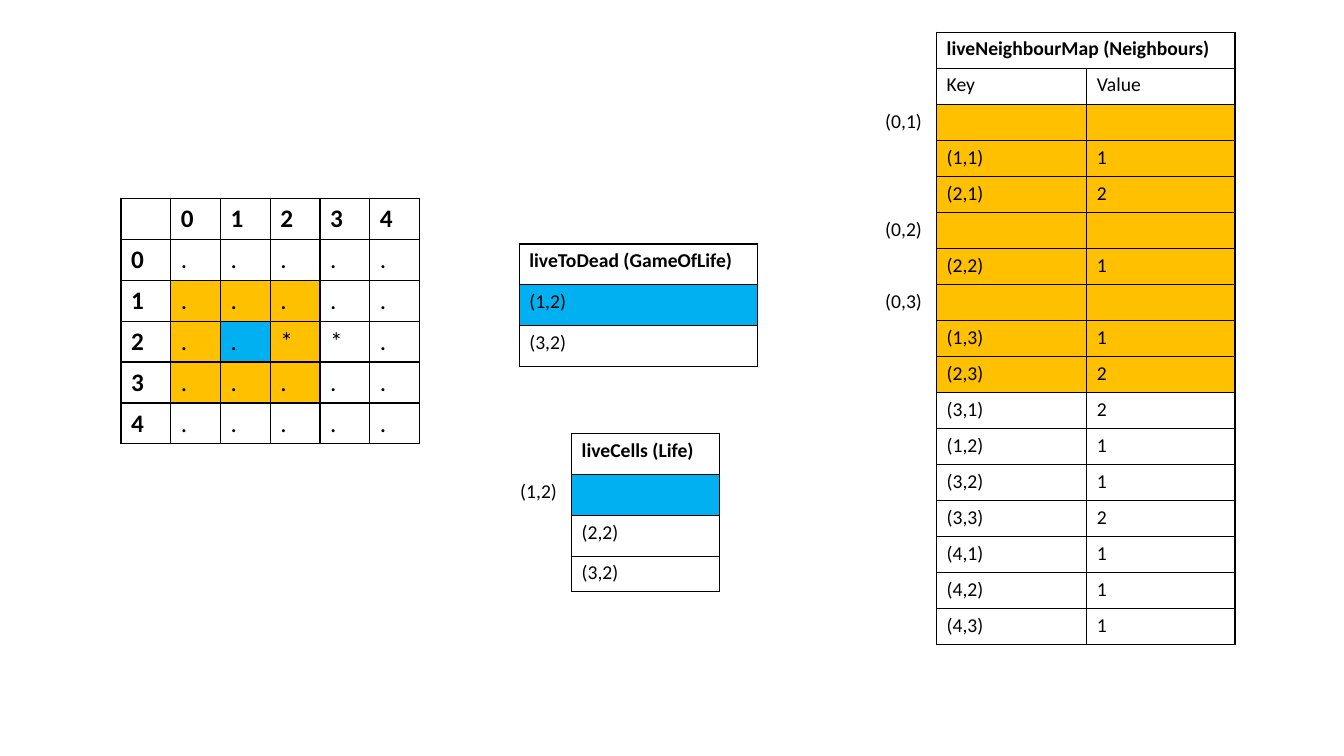
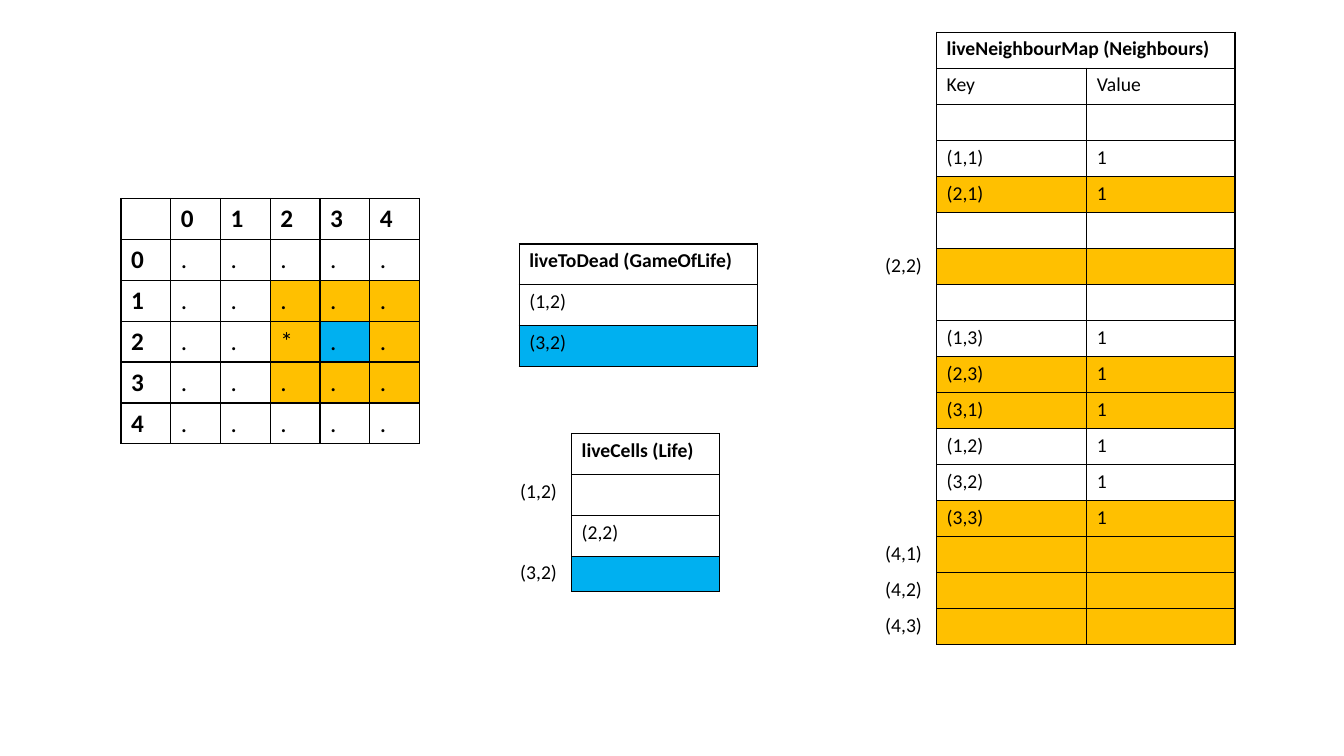
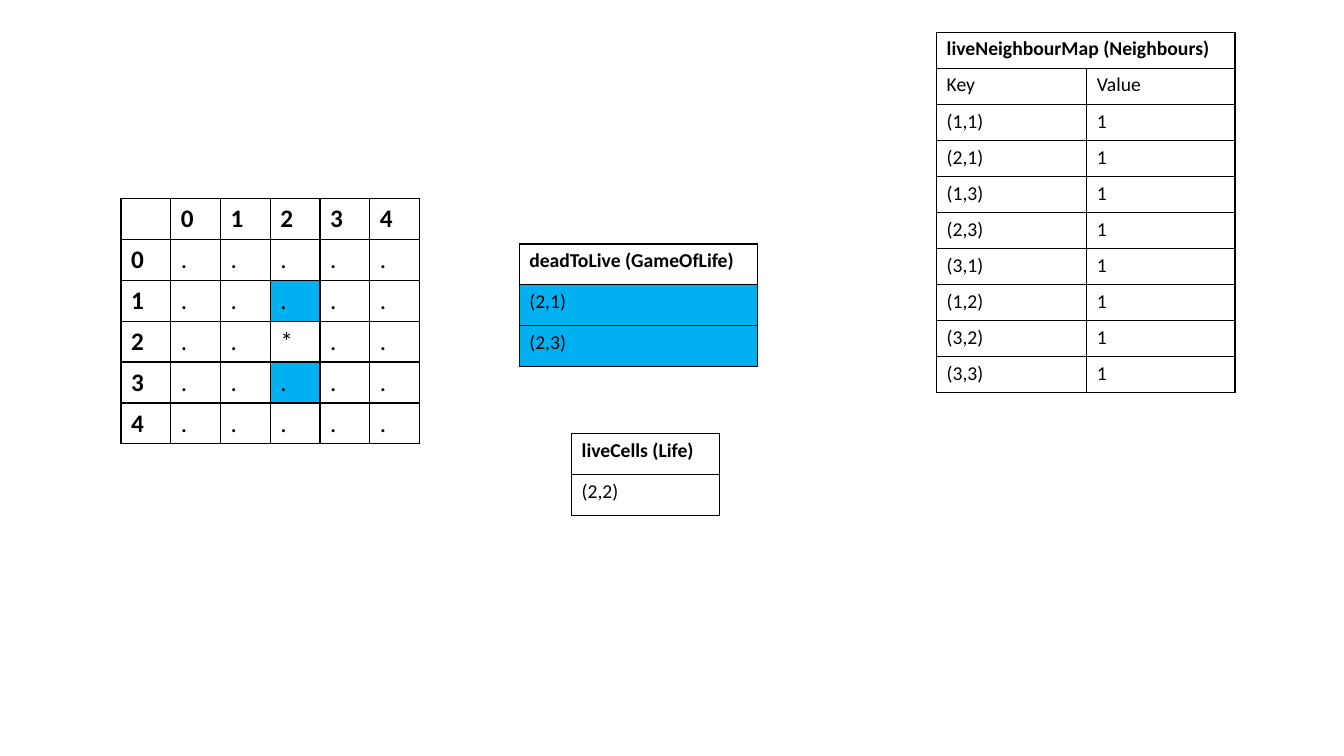
"""Builds three slides that step through one generation of the Game of Life."""
from dataclasses import dataclass

from lxml import etree
from pptx import Presentation
from pptx.dml.color import RGBColor
from pptx.oxml import ns
from pptx.util import Inches, Pt


@dataclass(frozen=True)
class Theme:
    font: str = "Calibri"
    ink: str = "000000"
    changed: str = "00B0F0"
    neighbour: str = "FFC000"
    border: float = 1
    grid_size: int = 18
    list_size: int = 14


THEME = Theme()
NO_STYLE = "{2D5ABB26-0587-4C30-8999-92F81FD0307C}"
GRID_SIDE = 5
LABEL_WIDTH = 0.61
MAP_ROW = 6.08 / 17
LIST_ROW = 1.22 / 3

FULL_KEYS = [(0, 1), (1, 1), (2, 1), (0, 2), (2, 2), (0, 3), (1, 3), (2, 3),
             (3, 1), (1, 2), (3, 2), (3, 3), (4, 1), (4, 2), (4, 3)]
FINAL_KEYS = [(1, 1), (2, 1), (1, 3), (2, 3), (3, 1), (1, 2), (3, 2), (3, 3)]

STEPS = [
    {"changes": ("liveToDead (GameOfLife)", [(1, 2), (3, 2)]),
     "changed": [(1, 2)],
     "removal": True,
     "live": [(2, 2), (3, 2)],
     "cells": [(1, 2), (2, 2), (3, 2)],
     "keys": FULL_KEYS,
     "counts": [None, 1, 2, None, 1, None, 1, 2, 2, 1, 1, 2, 1, 1, 1]},
    {"changes": ("liveToDead (GameOfLife)", [(1, 2), (3, 2)]),
     "changed": [(3, 2)],
     "removal": True,
     "live": [(2, 2)],
     "cells": [(1, 2), (2, 2), (3, 2)],
     "keys": FULL_KEYS,
     "counts": [None, 1, 1, None, None, None, 1, 1, 1, 1, 1, 1, None, None, None]},
    {"changes": ("deadToLive (GameOfLife)", [(2, 1), (2, 3)]),
     "changed": [(2, 1), (2, 3)],
     "removal": False,
     "live": [(2, 2)],
     "cells": [(2, 2)],
     "keys": FINAL_KEYS,
     "counts": [1] * len(FINAL_KEYS)},
]


def name(cell):
    return f"({cell[0]},{cell[1]})"


def shade(step, cell):
    if cell in step["changed"]:
        return THEME.changed
    near = any(max(abs(cell[0] - x), abs(cell[1] - y)) == 1 for x, y in step["changed"])
    return THEME.neighbour if step["removal"] and near else None


def draw_borders(cell, sides):
    props = cell._tc.get_or_add_tcPr()
    for side in sides:
        line = etree.SubElement(props, ns.qn(f"a:ln{side}"), w=str(Pt(THEME.border)))
        fill = etree.SubElement(line, ns.qn("a:solidFill"))
        etree.SubElement(fill, ns.qn("a:srgbClr"), val=THEME.ink)


def write(cell, wording, size, bold):
    para = cell.text_frame.paragraphs[0]
    if not wording:
        etree.SubElement(para._p, ns.qn("a:endParaRPr"), sz=str(size * 100))
        return
    span = para.add_run()
    span.text = wording
    span.font.name = THEME.font
    span.font.size = Pt(size)
    span.font.bold = bold
    span.font.color.rgb = RGBColor.from_string(THEME.ink)


def add_grid(page, left, top, widths, heights, rows, size, label_sides=None):
    """Draws rows of (wording, fill, bold); label_sides gives the first column its own borders."""
    frame = page.shapes.add_table(len(rows), len(widths), Inches(left), Inches(top),
                                  Inches(sum(widths)), Inches(sum(heights)))
    table = frame.table
    table.first_row = table.horz_banding = False
    table._tbl.tblPr.find(ns.qn("a:tableStyleId")).text = NO_STYLE
    for column, width in zip(table.columns, widths):
        column.width = Inches(width)
    for row, height in zip(table.rows, heights):
        row.height = Inches(height)
    for r, row in enumerate(rows):
        for c, (wording, fill, bold) in enumerate(row):
            cell = table.cell(r, c)
            draw_borders(cell, label_sides if label_sides and c == 0 else "LRTB")
            if fill:
                cell.fill.solid()
                cell.fill.fore_color.rgb = RGBColor.from_string(fill)
            else:
                cell.fill.background()
            write(cell, wording, size, bold)
    return table


def plain(wording, fill=None):
    return wording, fill, False


def heading(wording):
    return wording, None, True


def add_neighbour_map(page, step):
    rows = [[plain(""), heading("liveNeighbourMap (Neighbours)"), plain("")],
            [plain(""), plain("Key"), plain("Value")]]
    for key, count in zip(step["keys"], step["counts"]):
        fill = shade(step, key) if shade(step, key) == THEME.neighbour else None
        gone = count is None
        rows.append([plain(name(key) if gone and fill else ""),
                     plain("" if gone else name(key), fill),
                     plain("" if gone else str(count), fill)])
    table = add_grid(page, 8.68, 0.32, [LABEL_WIDTH, 1.49, 1.47], [MAP_ROW] * len(rows),
                     rows, THEME.list_size, "R")
    table.cell(0, 1).merge(table.cell(0, 2))


def add_board(page, step):
    side = range(GRID_SIDE)
    rows = [[heading("")] + [heading(str(x)) for x in side]]
    for y in side:
        marks = [plain("*" if (x, y) in step["live"] else ".", shade(step, (x, y))) for x in side]
        rows.append([heading(str(y))] + marks)
    count = len(rows)
    add_grid(page, 1.2, 1.97, [2.96 / count] * count, [2.43 / count] * count,
             rows, THEME.grid_size)


def changed_fill(step, cell):
    return THEME.changed if cell in step["changed"] else None


def add_changes(page, step):
    title, cells = step["changes"]
    rows = [[heading(title)]] + [[plain(name(cell), changed_fill(step, cell))] for cell in cells]
    add_grid(page, 5.15, 2.42, [2.36], [LIST_ROW] * len(rows), rows, THEME.list_size)


def add_live_cells(page, step):
    rows = [[plain(""), heading("liveCells (Life)")]]
    for cell in step["cells"]:
        alive = cell in step["live"]
        rows.append([plain("" if alive else name(cell)),
                     plain(name(cell) if alive else "", changed_fill(step, cell))])
    heights = ([LIST_ROW] * 3 + [0.35])[:len(rows)]
    add_grid(page, 5.06, 4.3, [LABEL_WIDTH, 1.47], heights, rows, THEME.list_size, "R")


def main():
    deck = Presentation()
    deck.slide_width, deck.slide_height = Inches(13.33), Inches(7.5)
    for step in STEPS:
        page = deck.slides.add_slide(deck.slide_layouts[6])
        for add_part in (add_neighbour_map, add_board, add_changes, add_live_cells):
            add_part(page, step)
    deck.save("out.pptx")


if __name__ == "__main__":
    main()
